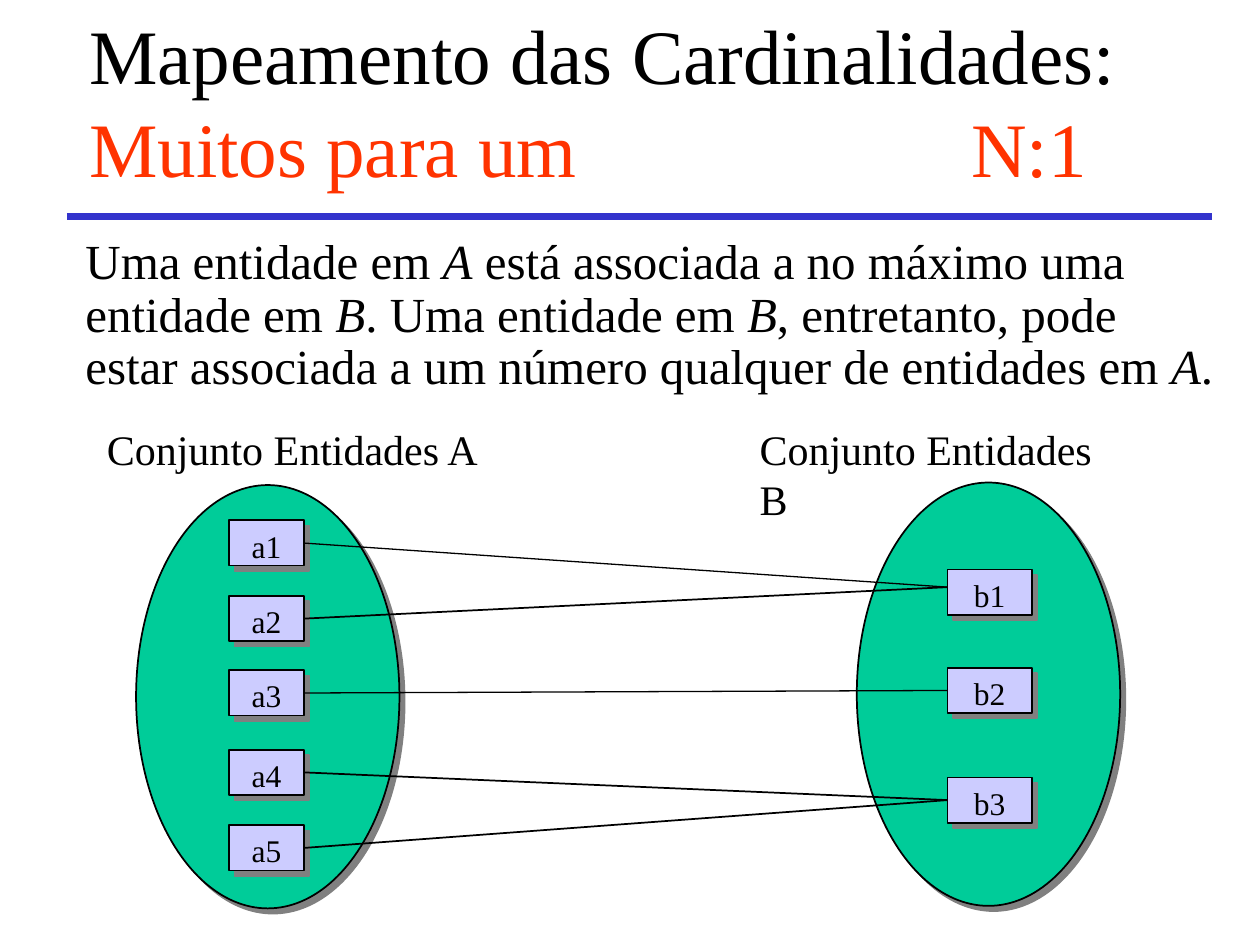
from pptx import Presentation
from pptx import util as u
from pptx.dml.color import RGBColor
from pptx.enum import shapes, text
from pptx.oxml.ns import qn
from lxml import etree

PX = u.Inches(1) / 100  # 100 px to the inch
FONT = "Times New Roman"
BLACK = RGBColor(0x00, 0x00, 0x00)
ORANGE = RGBColor(0xFF, 0x33, 0x00)
BLUE = RGBColor(0x33, 0x33, 0xCC)
GREEN = RGBColor(0x00, 0xCC, 0x99)
LILAC = RGBColor(0xCC, 0xCC, 0xFF)
GRAY = RGBColor(0x80, 0x80, 0x80)

BOX_HEIGHT = 36
A_TOPS = {"a1": 413, "a2": 473, "a3": 532, "a4": 595, "a5": 655}
B_TOPS = {"b1": 452, "b2": 530, "b3": 617}
# from, to, line width in points
LINKS = [("a4", "b3", 1), ("a5", "b3", 1), ("a2", "b1", 1),
         ("a1", "b1", 0.75), ("a3", "b2", 0.75)]


def px(*values):
    return [u.Emu(round(value * PX)) for value in values]


def add_tabs(para, count):
    tabs = etree.SubElement(para._p.get_or_add_pPr(), qn("a:tabLst"))
    for inch in range(1, count + 1):
        etree.SubElement(tabs, qn("a:tab"), pos=str(u.Inches(inch)), algn="l")


def add_text(page, place, spans, size, wrap=True, align=text.PP_ALIGN.LEFT,
             anchor=text.MSO_ANCHOR.TOP, spacing=None, tabs=0):
    """Add a text box; each span is (words, colour, italic)."""
    box = page.shapes.add_textbox(*px(*place))
    frame = box.text_frame
    frame.word_wrap = wrap
    frame.vertical_anchor = anchor
    para = frame.paragraphs[0]
    if tabs:
        add_tabs(para, tabs)
    para.alignment = align
    if spacing:
        para.line_spacing = spacing
    for index, (words, color, italic) in enumerate(spans):
        if index and spans[index - 1][0] == "":
            para.add_line_break()
        if not words:
            continue
        span = para.add_run()
        span.text = words
        span.font.name = FONT
        span.font.size = u.Pt(size)
        span.font.italic = italic
        span.font.color.rgb = color
    return box


def add_shadowed(page, kind, place, fill):
    shape = page.shapes.add_shape(kind, *px(*place))
    shape.fill.solid()
    shape.fill.fore_color.rgb = fill
    shape.line.color.rgb = BLACK
    shape.line.width = u.Pt(1)
    shape.shadow.inherit = False
    effects = shape._element.spPr.find(qn("a:effectLst"))
    shadow = etree.SubElement(effects, qn("a:outerShdw"), blurRad="0",
                              dist=str(u.Pt(4.2)), dir="2700000",
                              algn="ctr", rotWithShape="0")
    etree.SubElement(shadow, qn("a:srgbClr"), val=str(GRAY))
    return shape


def add_entity(page, name, left, top, width, label_width):
    box = add_shadowed(page, shapes.MSO_SHAPE.RECTANGLE,
                       (left, top, width, BOX_HEIGHT), LILAC)
    label_left = left + (width - label_width) / 2
    add_text(page, (label_left, top, label_width, 40), [(name, BLACK, False)],
             18, wrap=False, align=text.PP_ALIGN.CENTER)
    return box


def add_line(page, ends, color, width):
    line = page.shapes.add_connector(shapes.MSO_CONNECTOR.STRAIGHT, *px(*ends))
    line.line.color.rgb = color
    line.line.width = u.Pt(width)
    etree.SubElement(line._element.spPr, qn("a:effectLst"))
    return line


def add_link(page, start, end, name, width):
    # Links to b1 meet its side a little above the middle
    line = add_line(page, (242, 466, 752, 466), BLACK, width)
    line.begin_connect(start, 3)
    if name != "b1":
        line.end_connect(end, 1)


def main():
    deck = Presentation()
    deck.slide_width, deck.slide_height = px(1000, 750)
    page = deck.slides.add_slide(deck.slide_layouts[6])

    # Title, explanation and rule
    title = [("Mapeamento das Cardinalidades:", BLACK, False), ("", BLACK, False),
             ("Muitos para um\t\t\t\tN:1", ORANGE, False)]
    add_text(page, (61, 17, 897, 125), title, 44,
             anchor=text.MSO_ANCHOR.MIDDLE, tabs=7)
    pieces = ["Uma entidade em ", "A",
              " está associada a no máximo uma entidade em ", "B",
              ". Uma entidade em ", "B",
              ", entretanto, pode estar associada a um número qualquer"
              " de entidades em ", "A", "."]
    body = [(piece, BLACK, piece in ("A", "B")) for piece in pieces]
    add_text(page, (58, 183, 917, 150), body, 28, spacing=0.9)
    add_line(page, (53, 172, 962, 172), BLUE, 4)

    # Entity sets
    for left, top in ((108, 385), (680, 383)):
        add_shadowed(page, shapes.MSO_SHAPE.OVAL, (left, top, 209, 336), GREEN)
    boxes = {}
    for name, top in A_TOPS.items():
        boxes[name] = add_entity(page, name, 182, top, 59, 60)
    for name, top in B_TOPS.items():
        boxes[name] = add_entity(page, name, 752, top, 67, 45)

    # Links between entities
    for start, end, width in LINKS:
        add_link(page, boxes[start], boxes[end], end, width)

    # Set names
    for left, width, letter in ((75, 316, "A"), (593, 314, "B")):
        add_text(page, (left, 331, width, 50),
                 [(f"Conjunto Entidades {letter}", BLACK, False)], 24, wrap=False)

    deck.save("out.pptx")


if __name__ == "__main__":
    main()
